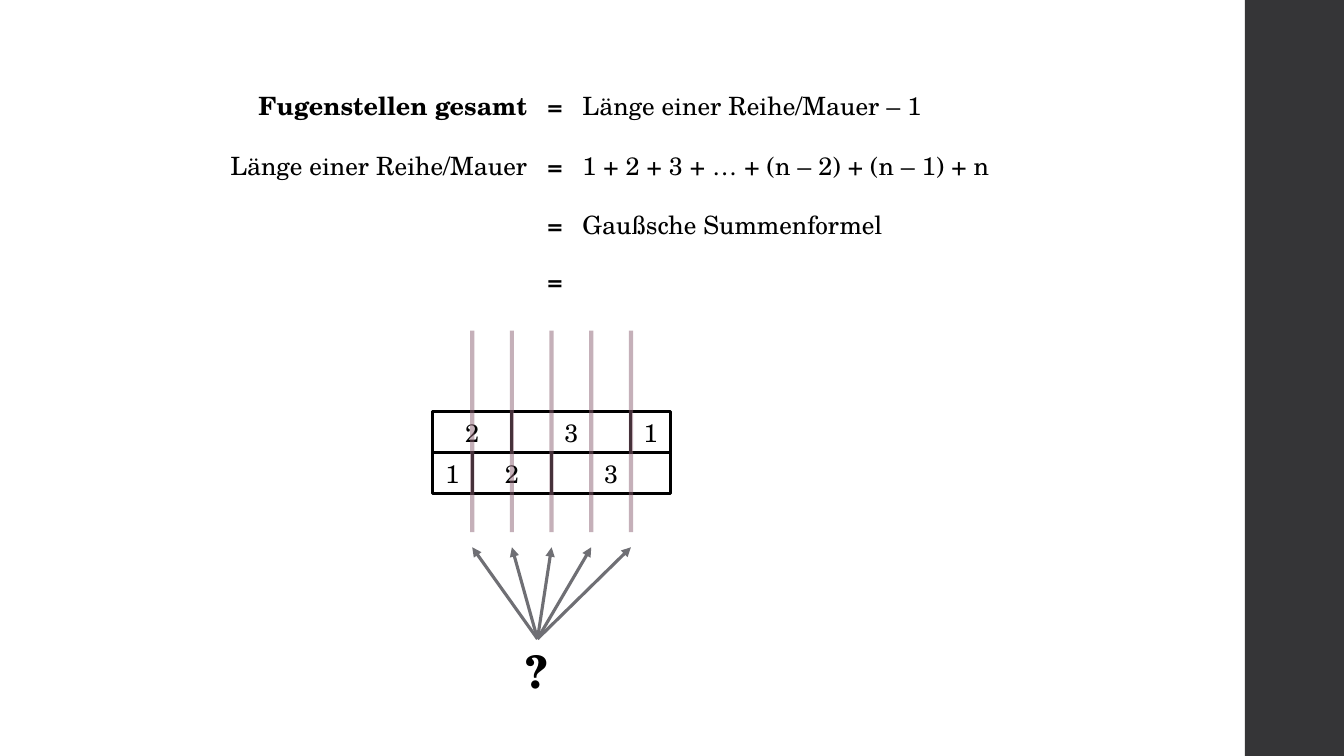
"""Build the slide on counting the joints of a brick wall."""
from dataclasses import dataclass
from itertools import accumulate

from lxml.etree import SubElement
from pptx import Presentation
from pptx.dml.color import RGBColor
from pptx.enum.shapes import MSO_CONNECTOR, MSO_SHAPE
from pptx.enum.text import MSO_ANCHOR, MSO_AUTO_SIZE, PP_ALIGN
from pptx.oxml.ns import qn
from pptx.shapes.autoshape import Shape
from pptx.shapes.connector import Connector
from pptx.slide import Slide
from pptx.util import Cm, Pt

BLACK = RGBColor(0x00, 0x00, 0x00)
WHITE = RGBColor(0xFF, 0xFF, 0xFF)
SIDEBAR_GREY = RGBColor(0x35, 0x35, 0x37)
JOINT_MAUVE = RGBColor(0x8D, 0x63, 0x74)
ARROW_GREY = RGBColor(0x6F, 0x6F, 0x74)

SIDEBAR_LEFT = 31.37
EQUALS_LEFT = 13.54
EQUALS_WIDTH = 0.89
RESULT_LEFT = EQUALS_LEFT + EQUALS_WIDTH
ROW_HEIGHT = 1.03
WALL_LEFT = 10.9
WALL_TOP = 10.38
UNIT = 1.0
JOINT_TOP = 8.33
JOINT_BOTTOM = 13.41
ARROW_TIP = 13.79
QUESTION_TOP = 16.1

WALL_ROWS = ((2, 3, 1), (1, 2, 3))
WALL_LENGTH = sum(WALL_ROWS[0])

TEXT_FORMAT = {"name": "TeX Gyre Schola", "size": Pt(18), "bold": False}
FRAME_FORMAT = {"auto_size": MSO_AUTO_SIZE.SHAPE_TO_FIT_TEXT}


@dataclass(frozen=True)
class Equation:
    top: float
    term: str = ""
    term_width: float = 0
    result: str = ""
    result_width: float = 0
    bold_term: bool = False


@dataclass(frozen=True)
class Box:
    left: float
    top: float
    width: float
    height: float = ROW_HEIGHT


EQUATIONS = (
    Equation(2.16, "Fugenstellen gesamt", 7.39,
             "Länge einer Reihe/Mauer – 1", 9.3, True),
    Equation(3.66, "Länge einer Reihe/Mauer", 8.05,
             "1 + 2 + 3 + … + (n – 2) + (n – 1) + n", 10.85),
    Equation(5.16, result="Gaußsche Summenformel", result_width=8.15),
    Equation(6.55),
)


def write(shape: Shape, text: str, align: PP_ALIGN, frame_format: dict,
          **font_changes) -> None:
    frame = shape.text_frame
    paragraph = frame.paragraphs[0]
    paragraph.alignment = align
    run = paragraph.add_run()
    run.text = text
    run.font.color.rgb = BLACK
    for target, values in ((frame, FRAME_FORMAT | frame_format),
                           (run.font, TEXT_FORMAT | font_changes)):
        for attribute, value in values.items():
            setattr(target, attribute, value)


def add_label(slide: Slide, box: Box, text: str,
              align: PP_ALIGN = PP_ALIGN.LEFT, **font_changes) -> Shape:
    label = slide.shapes.add_textbox(
        Cm(box.left), Cm(box.top), Cm(box.width), Cm(box.height))
    write(label, text, align, {"word_wrap": False}, **font_changes)
    return label


def add_rectangle(slide: Slide, box: Box, fill: RGBColor) -> Shape:
    rectangle = slide.shapes.add_shape(
        MSO_SHAPE.RECTANGLE,
        Cm(box.left), Cm(box.top), Cm(box.width), Cm(box.height))
    rectangle.shadow.inherit = False
    rectangle.fill.solid()
    rectangle.fill.fore_color.rgb = fill
    rectangle.line.fill.background()
    return rectangle


def add_brick(slide: Slide, box: Box, length: int) -> None:
    brick = add_rectangle(slide, box, WHITE)
    brick.line.color.rgb = BLACK
    brick.line.width = Pt(2.25)
    write(brick, str(length), PP_ALIGN.CENTER,
          {"word_wrap": True, "vertical_anchor": MSO_ANCHOR.MIDDLE})


def add_line(slide: Slide, x: float, start_y: float, end_y: float,
             color: RGBColor, width: float) -> Connector:
    line = slide.shapes.add_connector(
        MSO_CONNECTOR.STRAIGHT, Cm(x), Cm(start_y), Cm(x), Cm(end_y))
    line.line.color.rgb = color
    line.line.width = Pt(width)
    SubElement(line._element.spPr, qn("a:effectLst"))
    return line


def add_equation(slide: Slide, equation: Equation) -> None:
    if equation.term:
        term_box = Box(EQUALS_LEFT - equation.term_width, equation.top,
                       equation.term_width)
        add_label(slide, term_box, equation.term, PP_ALIGN.RIGHT,
                  bold=equation.bold_term)
    add_label(slide, Box(EQUALS_LEFT, equation.top, EQUALS_WIDTH), "=",
              PP_ALIGN.CENTER, bold=True)
    if equation.result:
        add_label(slide, Box(RESULT_LEFT, equation.top, equation.result_width),
                  equation.result)


def add_wall(slide: Slide) -> None:
    for row, lengths in enumerate(WALL_ROWS):
        for start, length in zip(accumulate(lengths, initial=0), lengths):
            box = Box(WALL_LEFT + start * UNIT, WALL_TOP + row * ROW_HEIGHT,
                      length * UNIT)
            add_brick(slide, box, length)


def add_joints(slide: Slide, question: Shape) -> None:
    joints = [WALL_LEFT + step * UNIT for step in range(1, WALL_LENGTH)]
    for x in joints:
        joint = add_line(slide, x, JOINT_BOTTOM, JOINT_TOP, JOINT_MAUVE, 3)
        color = joint.line._ln.find(".//" + qn("a:srgbClr"))
        SubElement(color, qn("a:alpha"), val="50000")
    for x in joints:
        arrow = add_line(slide, x, QUESTION_TOP, ARROW_TIP, ARROW_GREY, 2.25)
        arrow.begin_connect(question, 0)
        SubElement(arrow.line._ln, qn("a:tailEnd"), type="triangle")


def main() -> None:
    presentation = Presentation()
    presentation.slide_width = Cm(33.87)
    presentation.slide_height = Cm(19.05)
    slide = presentation.slides.add_slide(presentation.slide_layouts[6])
    slide.background.fill.solid()
    slide.background.fill.fore_color.rgb = WHITE

    add_rectangle(slide, Box(SIDEBAR_LEFT, 0, 2.5, 19.05), SIDEBAR_GREY)
    for equation in EQUATIONS:
        add_equation(slide, equation)
    add_wall(slide)
    question = add_label(slide, Box(13, QUESTION_TOP, 1.09, 1.62), "?",
                         size=Pt(32), bold=True)
    add_joints(slide, question)
    presentation.save("out.pptx")


if __name__ == "__main__":
    main()
